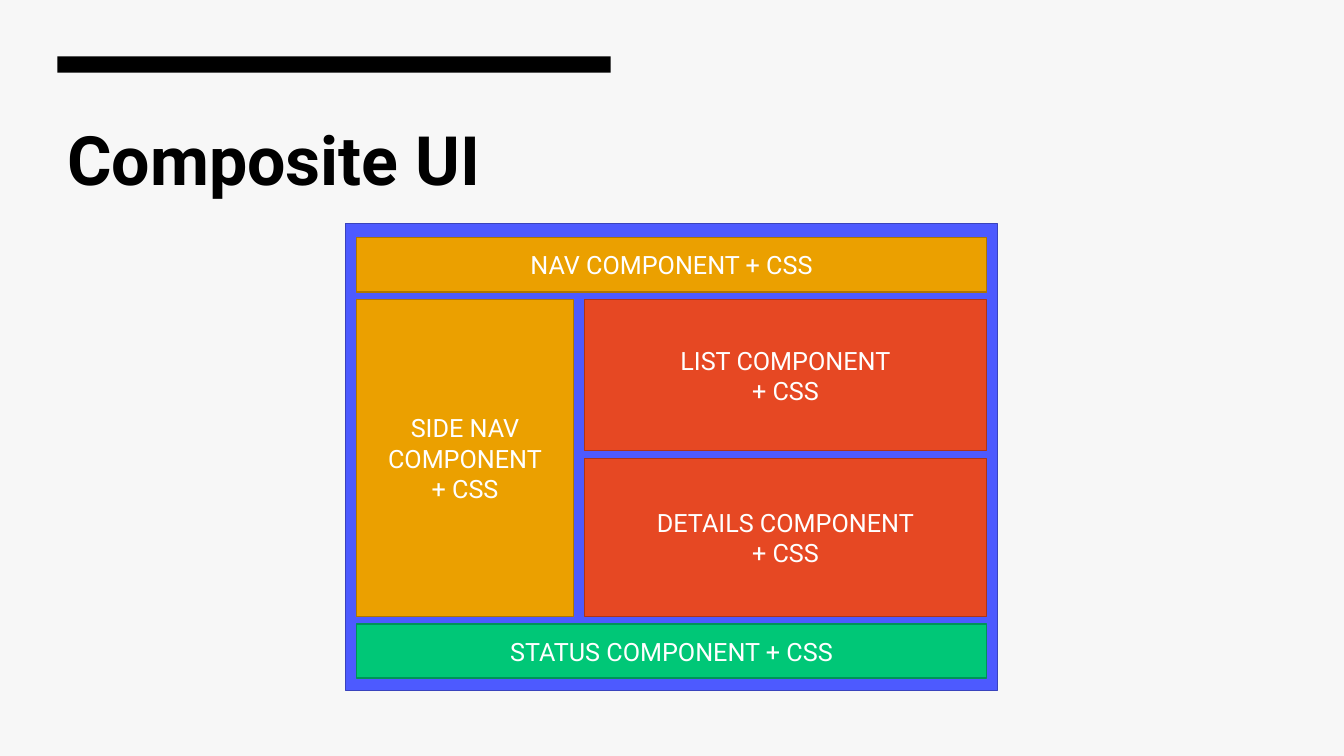
from dataclasses import dataclass

from pptx import Presentation
from pptx.dml.color import RGBColor as RGB
from pptx.enum.shapes import MSO_SHAPE as Shape
from pptx.enum.text import MSO_ANCHOR as Anchor, PP_ALIGN as Align
from pptx.util import Cm, Pt


@dataclass(frozen=True)
class Theme:
    """Colours as (fill, line) pairs, plus font and type sizes."""
    font: str = "Roboto"
    title_size: float = 48.6
    label_size: float = 18
    background: str = "F7F7F7"
    ink: str = "000000"
    label: str = "FFFFFF"
    frame: tuple = ("4D5AFF", "3943BD")
    navigation: tuple = ("EBA000", "AE7600")
    content: tuple = ("E64823", "AA351A")
    status: tuple = ("00C777", "009358")


THEME = Theme()


def style(p, size, color, bold=False):
    """Set the font of one paragraph."""
    p.font.name, p.font.size, p.font.bold = THEME.font, Pt(size), bold
    p.font.color.rgb = RGB.from_string(color)


def add_block(s, box, fill, line=None, lines=()):
    """Add a rectangle with an optional outline and centred label lines."""
    sp = s.shapes.add_shape(Shape.RECTANGLE, *map(Cm, box))
    sp.shadow.inherit = False
    sp.fill.solid()
    sp.fill.fore_color.rgb = RGB.from_string(fill)
    if line:
        sp.line.color.rgb = RGB.from_string(line)
        sp.line.width = Pt(1)
    else:
        sp.line.fill.background()
    tf = sp.text_frame
    tf.word_wrap, tf.vertical_anchor = True, Anchor.MIDDLE
    for i, text in enumerate(lines):
        p = tf.add_paragraph() if i else tf.paragraphs[0]
        p.text, p.alignment = text, Align.CENTER
        style(p, THEME.label_size, THEME.label)


def add_header(s, box, title):
    """Place the accent bar and the title below it."""
    x, y, w, h = box
    bar_w, bar_h, title_h = 13.94, 0.41, 2.16
    add_block(s, (x, y, bar_w, bar_h), THEME.ink)
    sp = s.shapes.add_textbox(Cm(x), Cm(y + h - title_h), Cm(w), Cm(title_h))
    tf = sp.text_frame
    tf.word_wrap, tf.margin_top = True, Cm(0.25)
    p = tf.paragraphs[0]
    p.text = title
    style(p, THEME.title_size, THEME.ink, bold=True)


def add_composite(s, box):
    """Lay out the component panels inside their frame."""
    x, y, w, h = box
    pad, top, bottom, gap = 0.28, 0.35, 0.31, 0.19
    strip_h, side_w, list_h = 1.37, 5.46, 3.81
    left, inner_w = x + pad, w - 2 * pad
    nav_y = y + top
    status_y = y + h - bottom - strip_h
    body_y = nav_y + strip_h + gap
    body_h = status_y - gap - body_y
    main_x, main_w = left + side_w + pad, inner_w - side_w - pad
    details_y = body_y + list_h + gap
    details_h = body_h - list_h - gap

    add_block(s, box, *THEME.frame)
    panels = [
        ((left, nav_y, inner_w, strip_h), THEME.navigation, ["NAV COMPONENT + CSS"]),
        ((left, body_y, side_w, body_h), THEME.navigation, ["SIDE NAV COMPONENT", "+ CSS"]),
        ((main_x, body_y, main_w, list_h), THEME.content, ["LIST COMPONENT", "+ CSS"]),
        ((main_x, details_y, main_w, details_h), THEME.content, ["DETAILS COMPONENT", "+ CSS"]),
        ((left, status_y, inner_w, strip_h), THEME.status, ["STATUS COMPONENT + CSS"]),
    ]
    for panel, colors, lines in panels:
        add_block(s, panel, *colors, lines)


def main():
    """Build the slide and save it."""
    prs = Presentation()
    prs.slide_width, prs.slide_height = Cm(33.87), Cm(19.05)
    s = prs.slides.add_slide(prs.slide_layouts[6])
    s.background.fill.solid()
    s.background.fill.fore_color.rgb = RGB.from_string(THEME.background)
    add_header(s, (1.45, 1.42, 31.01, 3.46), "Composite UI")
    add_composite(s, (8.71, 5.64, 16.43, 11.76))
    prs.save("out.pptx")


if __name__ == "__main__":
    main()
